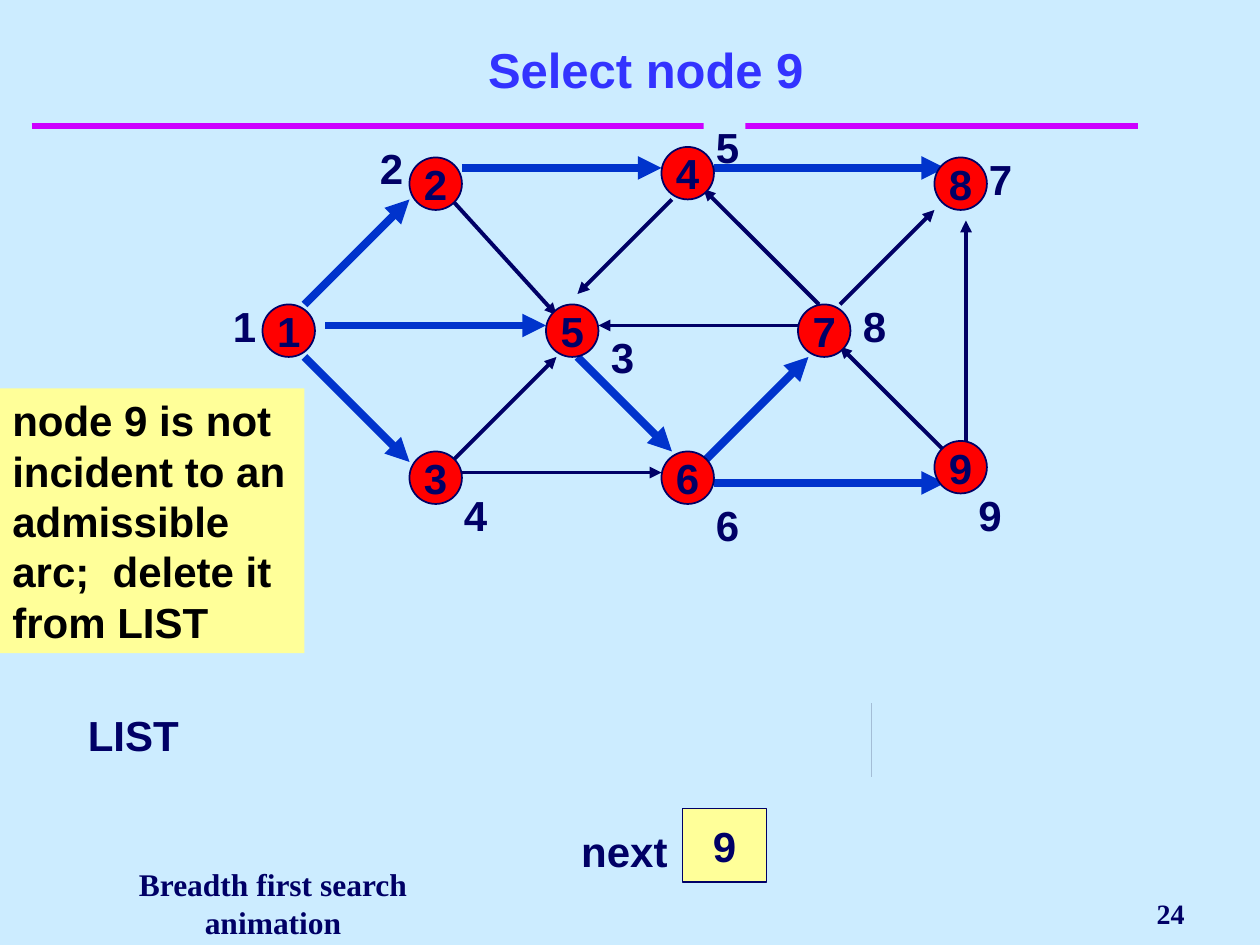
from lxml import etree
from pptx import Presentation
from pptx.dml.color import RGBColor
from pptx.enum.shapes import MSO_CONNECTOR, MSO_SHAPE
from pptx.enum.text import MSO_ANCHOR, PP_ALIGN
from pptx.oxml.ns import qn
from pptx.util import Inches, Pt

STRAIGHT = MSO_CONNECTOR.STRAIGHT
RECTANGLE, OVAL = MSO_SHAPE.RECTANGLE, MSO_SHAPE.OVAL
TOP, MIDDLE, BOTTOM = MSO_ANCHOR.TOP, MSO_ANCHOR.MIDDLE, MSO_ANCHOR.BOTTOM
LEFT, CENTER, RIGHT = PP_ALIGN.LEFT, PP_ALIGN.CENTER, PP_ALIGN.RIGHT
color = RGBColor.from_string

SKY, NAVY, BLUE, PURPLE = "CCECFF", "000066", "0033CC", "CC00FF"
RED, YELLOW, TITLE_BLUE, BLACK = "FF0000", "FFFF99", "3333FF", "000000"
PALE = "A3BDD6"

# The slide is a grid of 120 columns by 90 rows, twelve to the inch
UNIT = Inches(1) // 12
presentation = Presentation()
presentation.slide_width, presentation.slide_height = 120 * UNIT, 90 * UNIT
slide = presentation.slides.add_slide(presentation.slide_layouts[6])
slide.background.fill.solid()
slide.background.fill.fore_color.rgb = color(SKY)


def add_text(text, column, row, width, height, kind=None, fill=None, outline=None,
             size=24, font="Arial", ink=NAVY, align=LEFT, anchor=TOP, wrap=True,
             inset=0.1):
    box = [round(length * UNIT) for length in (column, row, width, height)]
    if kind is None:
        shape = slide.shapes.add_textbox(*box)
    else:
        shape = slide.shapes.add_shape(kind, *box)
        shape.shadow.inherit = False
        if outline:
            shape.line.color.rgb = color(outline)
            shape.line.width = Pt(1)
        else:
            shape.line.fill.background()
    if fill:
        shape.fill.solid()
        shape.fill.fore_color.rgb = color(fill)
    frame = shape.text_frame
    frame.word_wrap = wrap
    frame.vertical_anchor = anchor
    frame.margin_left = Inches(inset)
    paragraph = frame.paragraphs[0]
    paragraph.text = text
    paragraph.alignment = align
    paragraph.font.size = Pt(size)
    paragraph.font.name = font
    paragraph.font.bold = True
    paragraph.font.color.rgb = color(ink)


def add_line(start, end, ink, width, arrow=False):
    line = slide.shapes.add_connector(
        STRAIGHT, *[round(length * UNIT) for length in (*start, *end)])
    line.line.color.rgb = color(ink)
    line.line.width = Pt(width)
    if arrow:
        etree.SubElement(line.line._get_or_add_ln(), qn("a:tailEnd"), type="triangle")
    etree.SubElement(line._element.spPr, qn("a:effectLst"))


# Title and the rule under it
add_line((3, 12), (108.4, 12), PURPLE, 4)
add_text("Select node 9", 6, 3, 111, 7, size=28, ink=TITLE_BLUE,
         align=CENTER, anchor=BOTTOM)

# Visiting order beside each node, masking what lies behind
order_labels = {1: (21, 28), 2: (35, 13), 3: (57, 31), 4: (43, 46), 5: (67, 11),
                6: (67, 47), 7: (93, 14), 8: (81, 28), 9: (92, 46)}
for order, (column, row) in order_labels.items():
    add_text(str(order), column, row, 4, 6, RECTANGLE, fill=SKY)

# Arcs outside the search tree
other_arcs = [
    ((80, 29), (89, 20)), ((78, 29), (67, 18)), ((64, 19), (55, 28)),
    ((43, 44), (53, 34)), ((44, 45), (63, 45)), ((90, 43), (80, 33)),
    ((92, 42), (92, 21)), ((76, 31), (57, 31)), ((43, 19), (53, 30)),
]
# Arcs of the search tree
tree_arcs = [
    ((29, 29), (39, 19)), ((31, 31), (52, 31)), ((29, 34), (39, 44)),
    ((44, 16), (63, 16)), ((55, 34), (64, 43)), ((68, 16), (90, 16)),
    ((67, 44), (77, 34)), ((68, 46), (90, 46)),
]
for arcs, ink, width in ((other_arcs, NAVY, 2.25), (tree_arcs, BLUE, 4.5)):
    for start, end in arcs:
        add_line(start, end, ink, width, arrow=True)

# Nodes
nodes = {1: (25, 29), 2: (39, 15), 3: (39, 43), 4: (63, 14), 5: (52, 29),
         6: (63, 43), 7: (76, 29), 8: (89, 15), 9: (89, 42)}
for node, (column, row) in nodes.items():
    add_text(str(node), column, row, 5, 5, OVAL, fill=RED, outline=NAVY,
             align=CENTER, anchor=MIDDLE, wrap=False)

# Explanation
add_text("node 9 is not incident to an admissible arc;  delete it from LIST",
         0, 37, 29, 25.2, RECTANGLE, fill=YELLOW, ink=BLACK)

# Empty list and the next number
add_text("LIST", 5, 67, 14, 6, inset=0.28)
add_line((83, 67), (83, 74), PALE, 0.5)
add_text("next", 52, 78, 13, 6, inset=0.28)
add_text("9", 65, 77, 8, 7, RECTANGLE, fill=YELLOW, outline=NAVY,
         align=CENTER, anchor=MIDDLE, wrap=False)

# Footer and slide number
add_text("Breadth first search animation", 7, 83, 38, 6, size=18,
         font="Times New Roman", align=CENTER, anchor=MIDDLE)
add_text("24", 91, 84, 23, 6, size=16, font="Times New Roman",
         align=RIGHT, anchor=MIDDLE)

presentation.save("out.pptx")
